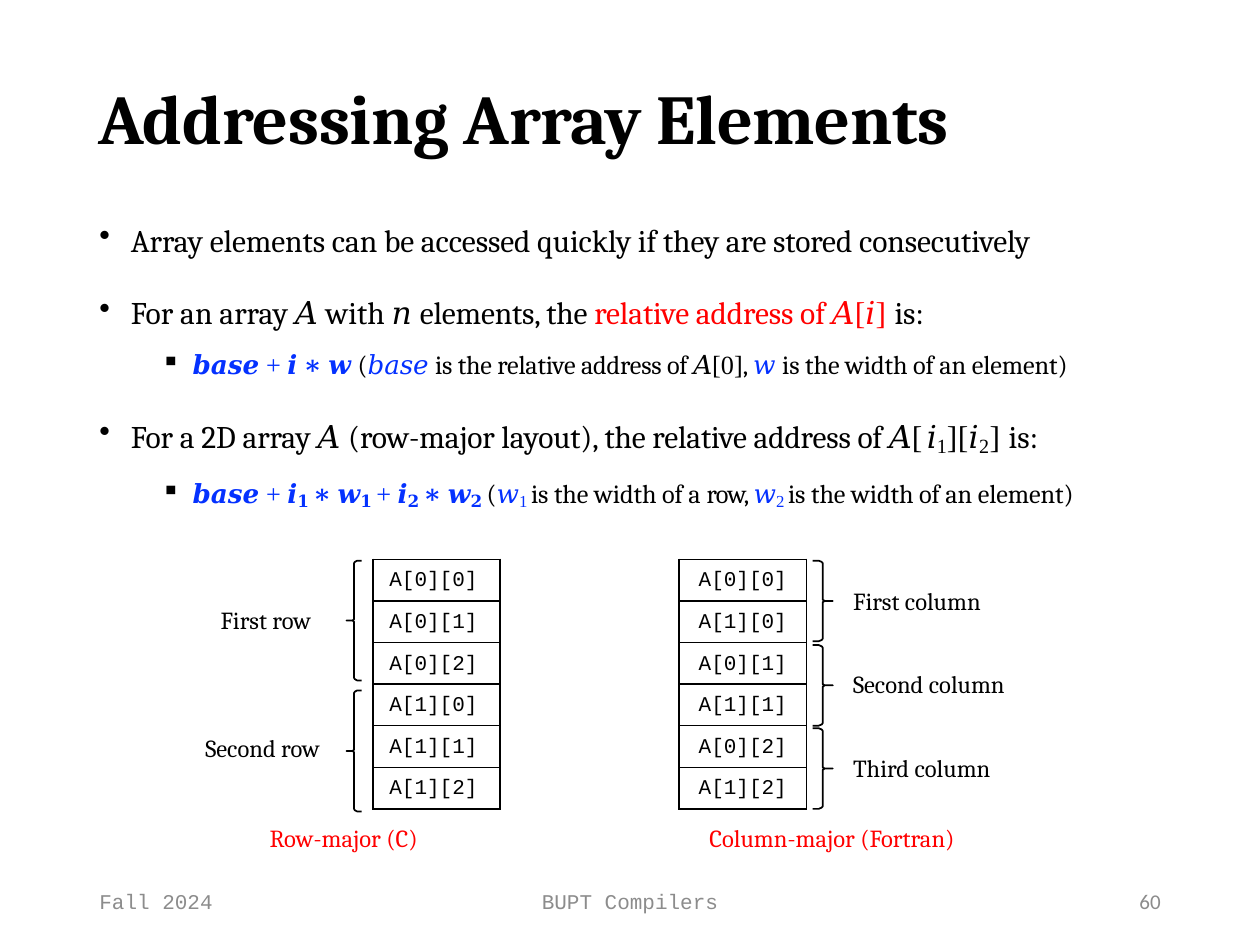
from lxml.etree import SubElement
from pptx import Presentation
from pptx.dml.color import RGBColor
from pptx.enum.text import MSO_ANCHOR as ANCHOR, PP_ALIGN as ALIGN
from pptx.oxml.ns import qn
from pptx.util import Inches, Pt

BLACK = RGBColor(0x00, 0x00, 0x00)
RED = RGBColor(0xFF, 0x00, 0x00)
BLUE = RGBColor(0x04, 0x31, 0xFF)
GREY = RGBColor(0x8C, 0x8C, 0x8C)
SERIF, MATH, MONO, SANS = "Cambria", "Times New Roman", "Courier New", "Calibri"

# Run styles: font, colour, subscript
STYLES = {
    "text": (SERIF, BLACK, False),
    "red": (SERIF, RED, False),
    "math": (MATH, BLACK, False),
    "sub": (MATH, BLACK, True),
    "redmath": (MATH, RED, False),
    "blue": (MATH, BLUE, False),
    "bluesub": (MATH, BLUE, True),
}
# Bullets: level, space before (pt), runs of (text, style, letter spacing in pt)
BULLETS = [
    (0, 0, [("Array elements can be accessed quickly if they are stored consecutively", "text", -0.07)]),
    (0, 20, [("For an array ", "text", 0), ("𝐴 ", "math", 0), ("with ", "text", 0),
             ("𝑛 ", "math", 0), ("elements, the ", "text", -0.1),
             ("relative address of ", "red", -0.05), ("𝐴[𝑖] ", "redmath", 0.1), ("is:", "text", 0)]),
    (1, 10, [("𝒃𝒂𝒔𝒆 + 𝒊 ∗ 𝒘 ", "blue", 0), ("(", "text", -0.1), ("𝑏𝑎𝑠𝑒 ", "blue", -0.1),
             ("is the relative address of ", "text", -0.1), ("𝐴[0]", "math", 0), (", ", "text", 0),
             ("𝑤 ", "blue", 0), ("is the width of an element)", "text", -0.07)]),
    (0, 19, [("For a 2D array ", "text", -0.05), ("𝐴 ", "math", 0),
             ("(row-major layout), the relative address of ", "text", -0.08),
             ("𝐴", "math", 0), ("[", "math", 2.6), ("𝑖", "math", 0), ("1", "sub", 0),
             ("][𝑖", "math", 0.2), ("2", "sub", 0.3), ("] ", "math", 0.2), ("is:", "text", 0)]),
    (1, 10, [("𝒃𝒂𝒔𝒆 + ", "blue", 0), ("𝒊", "blue", -0.1), ("𝟏 ", "bluesub", -0.1),
             ("∗ 𝒘", "blue", 0), ("𝟏 ", "bluesub", 0), ("+ ", "blue", 0), ("𝒊", "blue", -0.1),
             ("𝟐 ", "bluesub", -0.1), ("∗ 𝒘", "blue", 0), ("𝟐 ", "bluesub", 0),
             ("(", "text", -0.2), ("𝑤", "blue", -0.2), ("1 ", "bluesub", -0.4),
             ("is the width of a ", "text", -0.07), ("row, ", "text", -0.4), ("𝑤", "blue", -0.2),
             ("2 ", "bluesub", -0.3), ("is the width of an element)", "text", -0.07)]),
]
LEVELS = [(0.31, 18, "•"), (0.8, 15, "▪")]  # indent, size, bullet

TABLE_TOP, CELL_W, CELL_H = 4.44, 1.01, 0.33
# Layouts: table left, alignment, right margin, cells
TABLES = [
    (2.96, ALIGN.RIGHT, 0.18, ["A[0][0]", "A[0][1]", "A[0][2]", "A[1][0]", "A[1][1]", "A[1][2]"]),
    (5.39, ALIGN.CENTER, 0, ["A[0][0]", "A[1][0]", "A[0][1]", "A[1][1]", "A[0][2]", "A[1][2]"]),
]
# Braces: open side x, tip x, spans
BRACES = [
    (2.87, 2.75, [(4.45, 5.4), (5.48, 6.44)]),
    (6.45, 6.61, [(4.45, 5.09), (5.12, 5.76), (5.78, 6.42)]),
]
# Labels: text, left, top, width, colour
LABELS = [
    ("First row", 1.75, 4.79, 0.81, BLACK),
    ("Second row", 1.63, 5.81, 1.04, BLACK),
    ("First column", 6.77, 4.64, 1.12, BLACK),
    ("Second column", 6.77, 5.3, 1.35, BLACK),
    ("Third column", 6.77, 5.97, 1.22, BLACK),
    ("Row-major (C)", 2.14, 6.52, 1.3, RED),
    ("Column-major (Fortran)", 5.63, 6.52, 2.11, RED),
]
# Footers: text, left, width, alignment, font
FOOTERS = [
    ("Fall 2024", 0.69, 2.25, ALIGN.LEFT, MONO),
    ("BUPT Compilers", 3.31, 3.38, ALIGN.CENTER, MONO),
    ("60", 7.06, 2.25, ALIGN.RIGHT, SANS),
]


def add_run(p, text, size=14, font=SERIF, color=BLACK, bold=False, spacing=0, sub=False):
    r = p.add_run()
    r.text = text
    r.font.size, r.font.name, r.font.bold = Pt(size), font, bold
    r.font.color.rgb = color
    rPr = r.font._element
    if spacing:
        rPr.set("spc", str(round(spacing * 100)))
    if sub:
        rPr.set("baseline", "-15000")


def add_box(slide, left, top, width, height, inset=(0, 0.01), anchor=ANCHOR.TOP):
    tf = slide.shapes.add_textbox(*map(Inches, (left, top, width, height))).text_frame
    tf.word_wrap, tf.vertical_anchor = True, anchor
    tf.margin_left = tf.margin_right = Inches(inset[0])
    tf.margin_top = Inches(inset[1])
    tf.margin_bottom = Inches(inset[1] if inset[0] else 0)
    return tf


def set_bullet(p, level):
    indent, _, char = LEVELS[level]
    pPr = p._p.get_or_add_pPr()
    pPr.set("marL", str(Inches(indent)))
    pPr.set("indent", str(Inches(-0.25)))
    color = SubElement(pPr, qn("a:buClr"))
    SubElement(color, qn("a:srgbClr"), val=str(BLACK))
    SubElement(pPr, qn("a:buChar"), char=char)


def add_bullets(slide):
    tf = add_box(slide, 0.73, 1.74, 8.4, 2.32)
    for i, (level, before, runs) in enumerate(BULLETS):
        p = tf.add_paragraph() if i else tf.paragraphs[0]
        p.level = level
        if before:
            p.space_before = Pt(before)
        set_bullet(p, level)
        size = LEVELS[level][1]
        for text, style, spacing in runs:
            font, color, sub = STYLES[style]
            add_run(p, text, size=size * 1.1 if sub else size, font=font,
                    color=color, spacing=spacing, sub=sub)


def set_borders(cell):
    tcPr = cell._tc.get_or_add_tcPr()
    for i, side in enumerate(("lnL", "lnR", "lnT", "lnB")):
        ln = tcPr.makeelement(qn(f"a:{side}"), {"w": str(Pt(1))})
        fill = SubElement(ln, qn("a:solidFill"))
        SubElement(fill, qn("a:srgbClr"), val=str(BLACK))
        tcPr.insert(i, ln)


def add_memory(slide, left, align, margin_right, names):
    table = slide.shapes.add_table(len(names), 1, Inches(left), Inches(TABLE_TOP),
                                   Inches(CELL_W), Inches(CELL_H * len(names))).table
    table.first_row = table.horz_banding = False
    for row, name in zip(table.rows, names):
        row.height = Inches(CELL_H)
        cell = row.cells[0]
        cell.margin_left = cell.margin_bottom = 0
        cell.margin_right, cell.margin_top = Inches(margin_right), Inches(0.08)
        cell.fill.background()
        set_borders(cell)
        p = cell.text_frame.paragraphs[0]
        p.alignment = align
        add_run(p, name, size=12, font=MONO)


def add_braces(slide, open_x, tip_x, spans):
    def contour(top, bottom):
        mid = (top + bottom) / 2
        upper = [(0, top), (0.3, top), (0.45, top + 0.01), (0.5, top + 0.02),
                 (0.5, mid - 0.01), (0.6, mid), (1, mid)]
        lower = [(depth, top + bottom - y) for depth, y in reversed(upper[:-1])]
        return [(Inches(open_x + depth * (tip_x - open_x)), Inches(y)) for depth, y in upper + lower]

    contours = [contour(*span) for span in spans]
    builder = slide.shapes.build_freeform(*contours[0][0])
    for i, points in enumerate(contours):
        if i:
            builder.move_to(*points[0])
        builder.add_line_segments(points[1:], close=False)
    sp = builder.convert_to_shape()
    sp.shadow.inherit = False
    sp.fill.background()
    sp.line.color.rgb, sp.line.width = BLACK, Pt(1)


def main():
    prs = Presentation()
    prs.slide_width, prs.slide_height = Inches(10), Inches(7.5)
    slide = prs.slides.add_slide(prs.slide_layouts[6])
    title = add_box(slide, 0.78, 0.58, 7.03, 0.69)
    add_run(title.paragraphs[0], "Addressing Array Elements", size=40, bold=True, spacing=-0.1)
    add_bullets(slide)
    for table in TABLES:
        add_memory(slide, *table)
    for braces in BRACES:
        add_braces(slide, *braces)
    for text, left, top, width, color in LABELS:
        add_run(add_box(slide, left, top, width, 0.25).paragraphs[0], text, color=color)
    for text, left, width, align, font in FOOTERS:
        p = add_box(slide, left, 6.95, width, 0.4, (0.1, 0.05), ANCHOR.MIDDLE).paragraphs[0]
        p.alignment = align
        add_run(p, text, size=12, font=font, color=GREY)
    prs.save("out.pptx")


if __name__ == "__main__":
    main()
